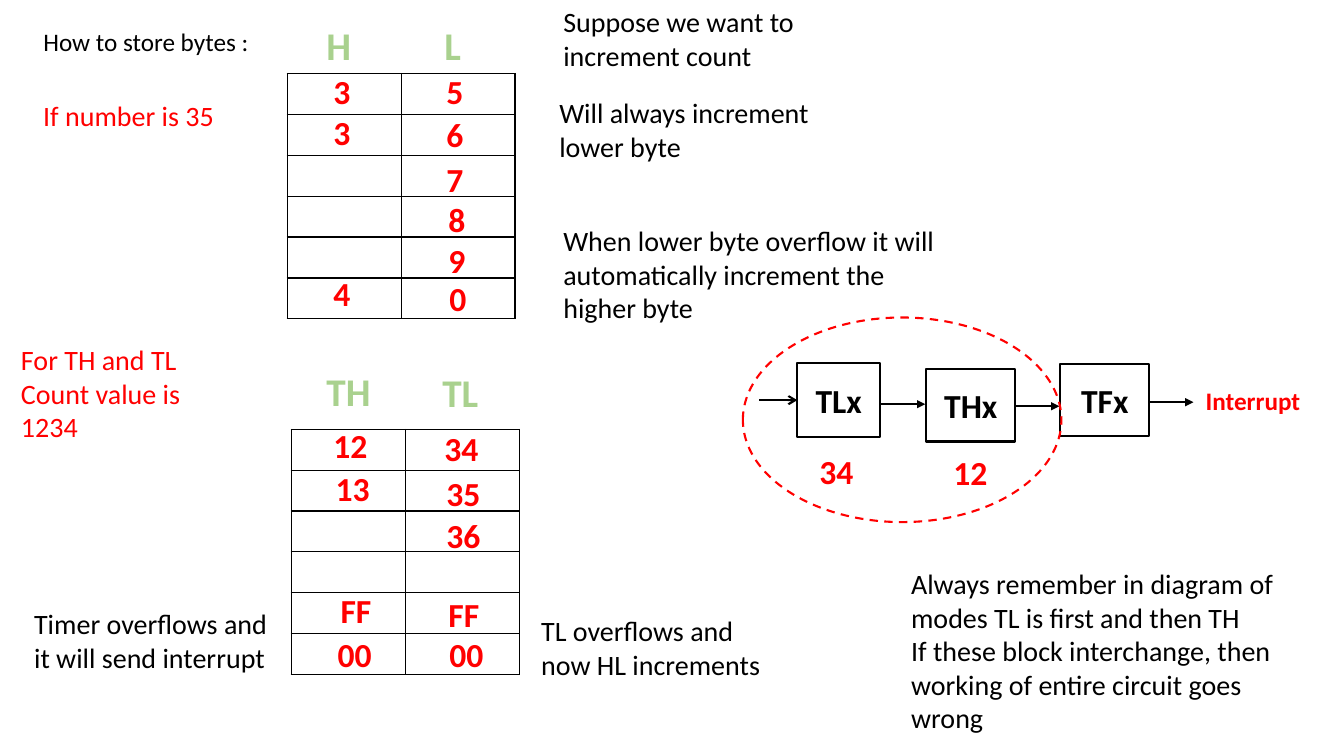
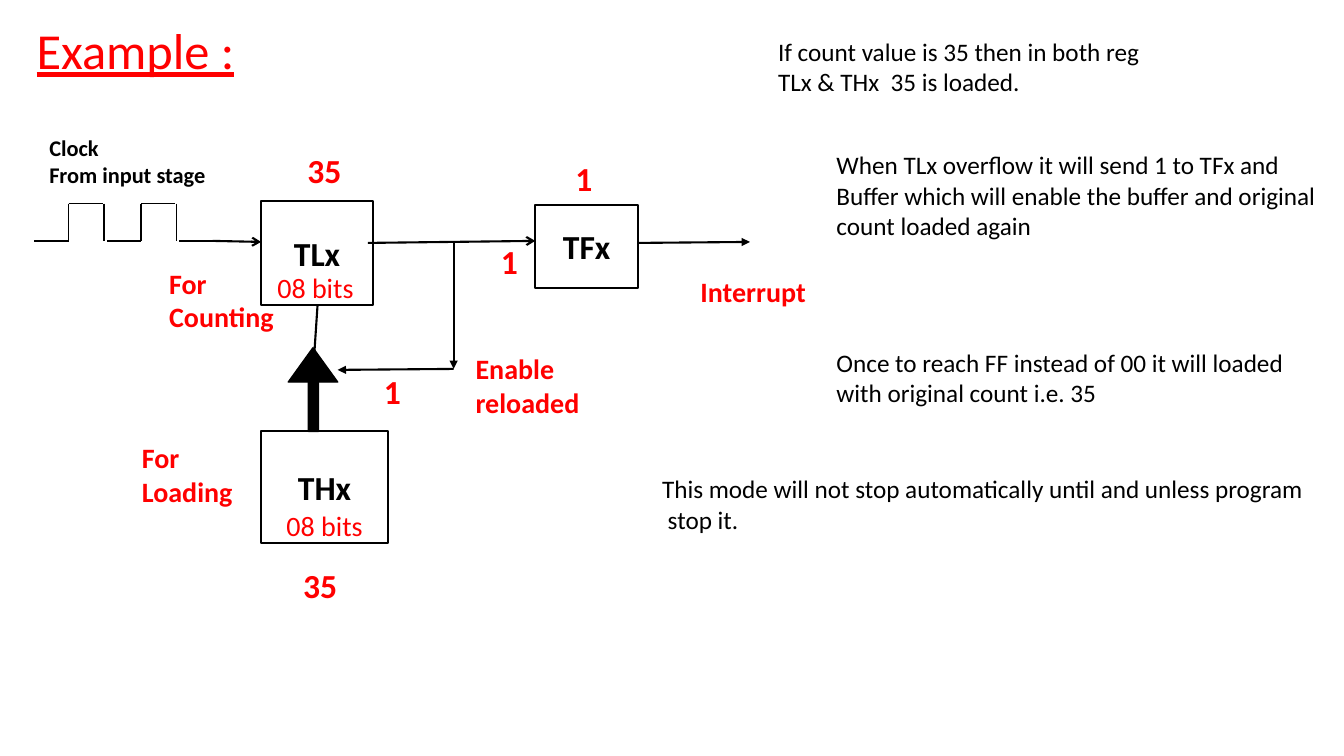
from lxml.etree import SubElement as Sub
from pptx import Presentation
from pptx.dml.color import RGBColor
from pptx.enum.dml import MSO_LINE as Dash
from pptx.enum.shapes import MSO_CONNECTOR as Link, MSO_SHAPE as Kind
from pptx.enum.text import MSO_ANCHOR as Anchor, MSO_AUTO_SIZE as Fit, PP_ALIGN as Align
from pptx.oxml.ns import qn
from pptx.util import Inches, Pt

# Shared style: a grid of 0.1 inch cells, one font, three colours
CELL = Inches(0.1)
COLS, ROWS = 133.33, 75
FONT = "Calibri"
BLACK, RED, GREEN = "000000", "FF0000", "A9D18E"


def grid(*nums):
    return [round(n * CELL) for n in nums]


def paint(color, hue):
    color.rgb = RGBColor.from_string(hue)


def write(frame, text, size, hue, bold=False, align=Align.LEFT):
    frame.text = text
    for para in frame.paragraphs:
        para.alignment = align
        for run in para.runs:
            run.font.name = FONT
            run.font.size = Pt(size)
            run.font.bold = bold
            paint(run.font.color, hue)


class Area:
    """A region of a slide; its parts are placed from its top left corner."""

    def __init__(self, slide, left=0, top=0):
        self.slide, self.left, self.top = slide, left, top

    def spot(self, x, y):
        return grid(self.left + x, self.top + y)

    def title(self, x, y, wide, high, text, size, hue):
        head = self.slide.shapes.title
        head.left, head.top = self.spot(x, y)
        head.width, head.height = grid(wide, high)
        frame = head.text_frame
        frame.auto_size = Fit.NONE
        frame.word_wrap = False
        frame.vertical_anchor = Anchor.TOP
        write(frame, text, size, hue)
        return frame

    def label(self, x, y, wide, high, text, size=20, hue=BLACK, bold=False,
              align=Align.LEFT, wrap=True):
        box = self.slide.shapes.add_textbox(*self.spot(x, y), *grid(wide, high))
        box.text_frame.word_wrap = wrap
        write(box.text_frame, text, size, hue, bold, align)

    def value(self, x, y, text):
        self.label(x, y, 2.7 + 1.6 * len(text), 5, text, 24, RED, True)

    def shape(self, kind, x, y, wide, high, line=BLACK, fill=None, weight=1.5):
        part = self.slide.shapes.add_shape(kind, *self.spot(x, y), *grid(wide, high))
        part.shadow.inherit = False
        if fill:
            part.fill.solid()
            paint(part.fill.fore_color, fill)
        else:
            part.fill.background()
        paint(part.line.color, line)
        part.line.width = Pt(weight)
        return part

    def block(self, x, y, wide, high, text):
        frame = self.shape(Kind.RECTANGLE, x, y, wide, high).text_frame
        frame.vertical_anchor = Anchor.MIDDLE
        frame.margin_left = frame.margin_right = 0
        write(frame, text, 24, BLACK, True, Align.CENTER)

    def wire(self, x1, y1, x2, y2, tip="triangle", weight=1.5):
        line = self.slide.shapes.add_connector(
            Link.STRAIGHT, *self.spot(x1, y1), *self.spot(x2, y2))
        paint(line.line.color, BLACK)
        line.line.width = Pt(weight)
        if tip:
            Sub(line.line._get_or_add_ln(), qn("a:tailEnd"), type=tip)
        Sub(line._element.spPr, qn("a:effectLst"))

    def clock(self, low, high, period, count):
        """Square pulses, each a low run, a rise, a high run and a fall."""
        for i in range(count + 1):
            x = i * period
            runs = [(x, low, x + 3.4, low)]
            if i < count:
                runs += [(x + 3.4, high, x + 3.4, low),
                         (x + 3.4, high, x + 6.8, high),
                         (x + 6.9, high, x + 6.9, low)]
            for run in runs:
                self.wire(*run, None, 1)


def edge(cell):
    props = cell._tc.get_or_add_tcPr()
    for side in ("lnL", "lnR", "lnT", "lnB"):
        line = Sub(props, qn("a:" + side), w=str(Pt(1)))
        Sub(Sub(line, qn("a:solidFill")), qn("a:srgbClr"), val=BLACK)


def bytes_table(area, heads, values):
    """Ruled table with heads above it and byte values laid over it."""
    wide, high, count = 11.3, 4.05, 6
    table = area.slide.shapes.add_table(
        count, 2, *area.spot(0, 0), *grid(2 * wide, count * high)).table
    table.first_row = table.horz_banding = False
    for cell in table.iter_cells():
        edge(cell)
        cell.fill.background()
    for x, y, text in heads:
        area.label(x, y, 8, 5.7, text, 28, GREEN, True)
    for x, y, text in values:
        area.value(x, y, text)


def chain(area):
    """Timer blocks in a row, with the counting pair ringed."""
    area.block(5.4, 4.5, 8.2, 7.4, "TLx")
    area.block(18.2, 5.1, 8.8, 7.2, "THx")
    area.block(31.5, 4.6, 8.8, 7.2, "TFx")
    area.wire(1.6, 8.2, 5.4, 8.2, "arrow")
    for x, y in ((13.7, 8.6), (27, 8.8), (40.3, 8.4)):
        area.wire(x, y, x + 4.4, y)
    area.label(42.6, 6.2, 16, 4, "Interrupt", 18, RED, True, Align.CENTER)
    area.value(6.6, 12.7, "34")
    area.value(19.9, 12.8, "12")
    ring = area.shape(Kind.OVAL, 0, 0, 31.6, 20.3, RED)
    ring.line.dash_style = Dash.DASH


def reload(area):
    """Clock, counter, flag and reload path of the timer."""
    # Clock input
    area.label(0.5, 0, 17.8, 6.4, "Clock\nFrom input stage", 16, BLACK, True)
    area.clock(11.1, 7.4, 7.2, 2)
    area.wire(17.7, 11.1, 22.5, 11.2, "arrow")
    # Registers
    area.block(22.5, 7.1, 11.1, 10.4, "TLx")
    area.block(49.7, 7.5, 10.2, 8.3, "TFx")
    area.block(22.5, 30, 12.6, 11.1, "THx")
    for x, y in ((21.6, 13.5), (22.5, 37.2)):
        area.label(x, y, 12.6, 4.4, "08 bits", 20, RED, align=Align.CENTER)
    # Signal paths
    area.wire(33.1, 11.3, 49.7, 11.1, "arrow")
    area.wire(59.9, 11.3, 71, 11.2)
    area.wire(41.6, 11.2, 41.6, 23.8)
    area.wire(41.6, 23.8, 30.1, 23.9)
    area.wire(28.1, 17.5, 27.6, 25, None)
    area.shape(Kind.UP_ARROW, 26.7, 23.9, 2, 6.1, fill=BLACK, weight=1)
    area.shape(Kind.ISOSCELES_TRIANGLE, 25.2, 21.7, 4.9, 3.4, fill=BLACK, weight=1)
    # Captions and values
    for x, y, high, text in (
            (65.1, 13.9, 4.4, "Interrupt"), (42.8, 21.6, 7.7, "Enable reloaded"),
            (12.4, 13.1, 7.7, "For\nCounting"), (9.7, 30.4, 7.7, "For\nLoading")):
        area.label(x, y, 15.4, high, text, 20, RED, True)
    for x, y, text in ((26.1, 1.6, "35"), (25.7, 42.8, "35"), (45.3, 10.6, "1"),
                       (52.7, 2.4, "1"), (33.7, 23.5, "1")):
        area.value(x, y, text)


def store(slide):
    page = Area(slide)
    page.title(3.3, 2.1, 22.6, 4, "How to store bytes :", 18, BLACK)
    bytes_table(Area(slide, 28.5, 7.3), ((2.9, -5.7, "H"), (14.6, -5.7, "L")), (
        (3.6, -0.8, "3"), (14.8, -0.8, "5"),
        (3.6, 3.3, "3"), (14.8, 3.5, "6"),
        (14.8, 8, "7"), (15, 11.9, "8"), (15, 16, "9"),
        (3.6, 19.3, "4"), (15.1, 19.8, "0")))
    bytes_table(Area(slide, 28.9, 42.6), ((2.5, -6.7, "TH"), (14, -6.6, "TL")), (
        (3.2, -0.9, "12"), (14.2, -0.6, "34"),
        (3.4, 3.3, "13"), (14.4, 3.8, "35"),
        (14.4, 8, "36"),
        (3.9, 15.4, "FF"), (14.6, 15.8, "FF"),
        (3.6, 19.8, "00"), (14.7, 19.8, "00")))
    chain(Area(slide, 73.7, 31.5))
    # Notes
    page.label(3.3, 9.3, 19.8, 4.4, "If number is 35", hue=RED)
    page.label(1.1, 33.5, 19.8, 11.1, "For TH and TL\nCount value is 1234", hue=RED)
    for x, y, wide, high, text in (
            (54.9, 0, 27.6, 7.7, "Suppose we want to increment count"),
            (54.5, 9, 27.6, 7.7, "Will always increment lower byte"),
            (54.9, 21.7, 41.7, 11.1,
             "When lower byte overflow it will automatically increment the higher byte"),
            (52.7, 60.4, 26, 7.7, "TL overflows and now HL increments"),
            (2.4, 59.7, 26, 7.7, "Timer overflows and it will send interrupt"),
            (89.4, 55.7, 38.1, 17.8,
             "Always remember in diagram of modes TL is first and then TH\n"
             "If these block interchange, then working of entire circuit goes wrong")):
        page.label(x, y, wide, high, text)


def example(slide):
    page = Area(slide)
    head = page.title(2.55, 1.4, 21.8, 7.1, "Example :", 36, RED)
    head.paragraphs[0].alignment = Align.CENTER
    head.paragraphs[0].runs[0].font.underline = True
    reload(Area(slide, 3.4, 12.8))
    # Notes
    for x, y, wide, high, text in (
            (76.2, 3.1, 38.9, 7.1,
             "If count value is 35 then in both reg\nTLx & THx  35 is loaded."),
            (82, 14.35, 50.8, 10.1,
             "When TLx overflow it will send 1 to TFx and\n"
             "Buffer which will enable the buffer and original\ncount loaded again"),
            (82, 33.95, 47.5, 7.1,
             "Once to reach FF instead of 00 it will loaded\nwith original count i.e. 35"),
            (64.7, 46.5, 66.4, 7.1,
             "This mode will not stop automatically until and unless program\n stop it.")):
        page.label(x, y, wide, high, text, 18, wrap=False)


def main():
    deck = Presentation()
    deck.slide_width, deck.slide_height = grid(COLS, ROWS)
    for build in (store, example):
        build(deck.slides.add_slide(deck.slide_layouts[5]))
    deck.save("out.pptx")


if __name__ == "__main__":
    main()
